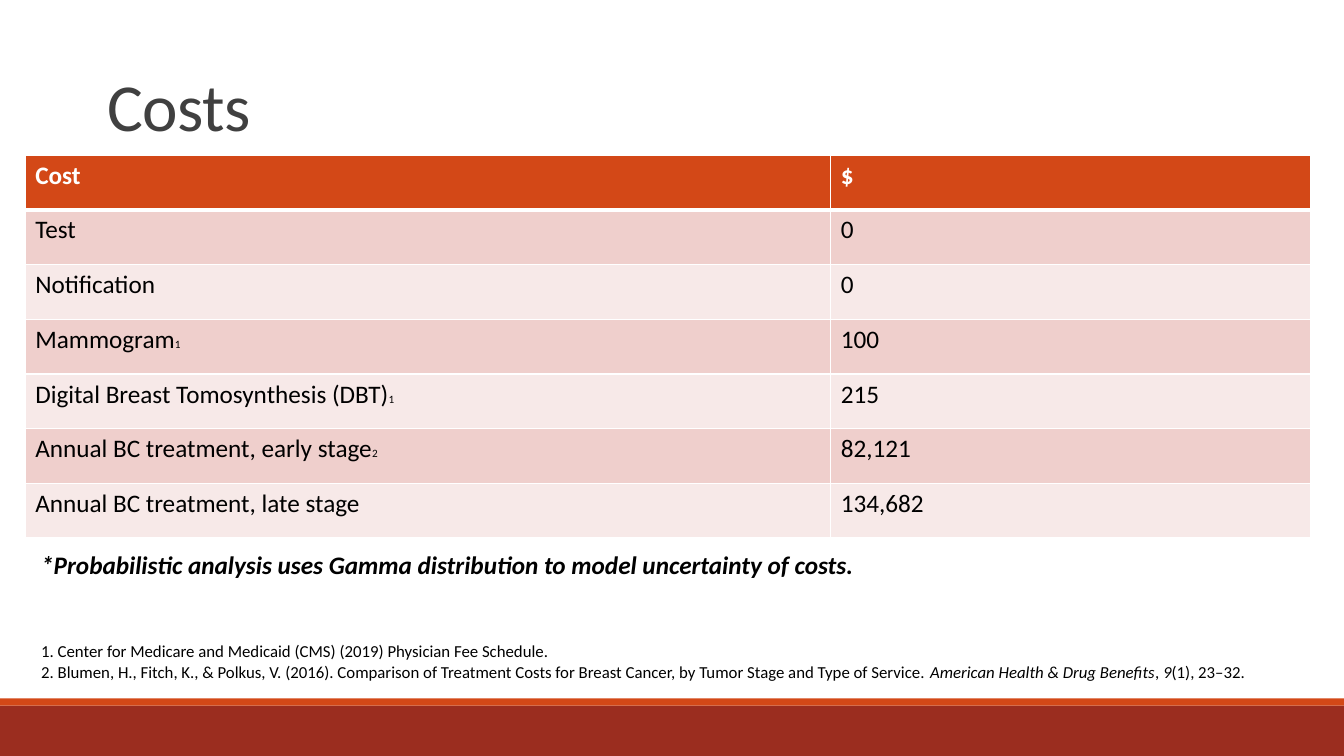
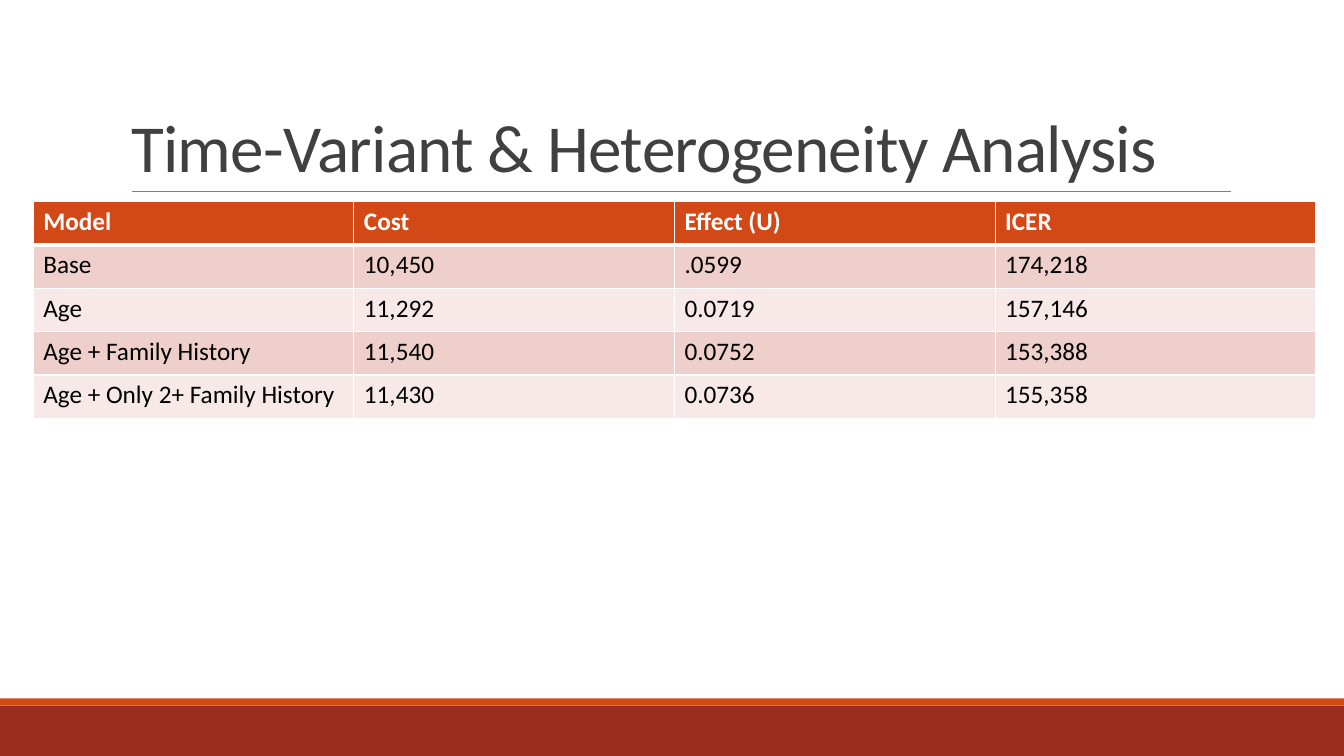
from dataclasses import dataclass, field
from typing import Any

from lxml.etree import SubElement
from pptx import Presentation
from pptx.dml.color import RGBColor
from pptx.enum.shapes import MSO_CONNECTOR as Connector, MSO_SHAPE as Preset
from pptx.enum.text import MSO_ANCHOR as Anchor, MSO_AUTO_SIZE as AutoSize, PP_ALIGN as Align
from pptx.oxml.ns import qn
from pptx.util import Inches, Pt

WHITE = RGBColor(0xFF, 0xFF, 0xFF)
BLACK = RGBColor(0x00, 0x00, 0x00)
BRICK = RGBColor(0x9B, 0x2D, 0x1F)
ORANGE = RGBColor(0xD3, 0x48, 0x17)
GRAY = RGBColor(0x80, 0x80, 0x80)
CHARCOAL = RGBColor(0x40, 0x40, 0x40)
ROSE = RGBColor(0xEF, 0xCF, 0xCC)
BLUSH = RGBColor(0xF7, 0xE9, 0xE8)

SLIDE_WIDTH = 13.33
SLIDE_HEIGHT = 7.5
RULE_LEFT, RULE_RIGHT, RULE_TOP = 1.31, 12.21, 1.9

BODY = {"name": "Calibri", "size": Pt(18), "bold": False, "italic": False}
HEADER = BODY | {"bold": True}
MARK = BODY | {"size": Pt(8)}
CALLOUT = BODY | {"bold": True, "italic": True}
REFERENCE = BODY | {"size": Pt(12)}
JOURNAL = REFERENCE | {"italic": True}
TITLE = BODY | {"size": Pt(48)}


@dataclass(frozen=True)
class Box:
    left: float
    top: float
    width: float
    height: float

    def lengths(self) -> tuple:
        return tuple(Inches(side) for side in (self.left, self.top, self.width, self.height))


@dataclass(frozen=True)
class Band:
    box: Box
    color: RGBColor


@dataclass(frozen=True)
class Span:
    text: str
    style: dict[str, Any] = field(default_factory=lambda: BODY)


@dataclass(frozen=True)
class Grid:
    box: Box
    columns: list[float]
    rows: list[list[str]]
    marks: dict[int, str] = field(default_factory=dict)


BANDS = [
    Band(Box(0, 7, SLIDE_WIDTH, 0.5), BRICK),
    Band(Box(0, 6.93, SLIDE_WIDTH, 0.07), ORANGE),
]

COSTS = Grid(
    Box(0.25, 1.54, 12.75, 3.8),
    [7.99, 4.76],
    [
        ["Cost", "$"],
        ["Test", "0"],
        ["Notification", "0"],
        ["Mammogram", "100"],
        ["Digital Breast Tomosynthesis (DBT)", "215"],
        ["Annual BC treatment, early stage", "82,121"],
        ["Annual BC treatment, late stage", "134,682"],
    ],
    {3: "1", 4: "1", 5: "2"},
)

MODELS = Grid(
    Box(0.33, 2, 12.72, 2.15),
    [3.18] * 4,
    [
        ["Model", "Cost", "Effect (U)", "ICER"],
        ["Base", "10,450", ".0599", "174,218"],
        ["Age", "11,292", "0.0719", "157,146"],
        ["Age + Family History", "11,540", "0.0752", "153,388"],
        ["Age + Only 2+ Family History", "11,430", "0.0736", "155,358"],
    ],
)

COST_NOTES = [
    [Span("*Probabilistic analysis uses Gamma distribution to model uncertainty of costs.", CALLOUT)],
    [Span("1. Center for Medicare and Medicaid (CMS) (2019) Physician Fee Schedule.", REFERENCE)],
    [
        Span(
            "2. Blumen, H., Fitch, K., & Polkus, V. (2016). Comparison of Treatment Costs for "
            "Breast Cancer, by Tumor Stage and Type of Service. ",
            REFERENCE,
        ),
        Span("American Health & Drug Benefits", JOURNAL),
        Span(", ", REFERENCE),
        Span("9", JOURNAL),
        Span("(1), 23–32.", REFERENCE),
    ],
]


def write_spans(paragraph, spans: list[Span], color: RGBColor) -> None:
    for span in spans:
        run = paragraph.add_run()
        run.text = span.text
        for attribute, value in span.style.items():
            setattr(run.font, attribute, value)
        run.font.color.rgb = color


def add_bands(slide) -> None:
    for band in BANDS:
        stripe = slide.shapes.add_shape(Preset.RECTANGLE, *band.box.lengths())
        stripe.shadow.inherit = False
        stripe.fill.solid()
        stripe.fill.fore_color.rgb = band.color
        stripe.line.fill.background()


def add_title_rule(slide) -> None:
    rule = slide.shapes.add_connector(
        Connector.STRAIGHT,
        Inches(RULE_LEFT), Inches(RULE_TOP), Inches(RULE_RIGHT), Inches(RULE_TOP),
    )
    rule.line.color.rgb = GRAY
    rule.line.width = Pt(0.5)
    SubElement(rule._element.spPr, qn("a:effectLst"))


def set_title(slide, text: str, box: Box) -> None:
    title = slide.shapes.title
    title.left, title.top, title.width, title.height = box.lengths()
    frame = title.text_frame
    frame_format = {"auto_size": AutoSize.NONE, "word_wrap": True, "vertical_anchor": Anchor.BOTTOM}
    for attribute, value in frame_format.items():
        setattr(frame, attribute, value)
    heading = frame.paragraphs[0]
    heading.alignment = Align.LEFT
    heading.line_spacing = 0.85
    write_spans(heading, [Span(text, TITLE)], CHARCOAL)
    heading.runs[0].font._element.set("spc", "-50")


def add_slide(deck, title: str, title_box: Box):
    slide = deck.slides.add_slide(deck.slide_layouts[5])
    add_bands(slide)
    set_title(slide, title, title_box)
    return slide


def set_borders(cell, top: float, bottom: float) -> None:
    properties = cell._tc.get_or_add_tcPr()
    for edge, points in {"lnL": 1, "lnR": 1, "lnT": top, "lnB": bottom}.items():
        border = SubElement(properties, qn(f"a:{edge}"), w=str(Pt(points)))
        paint = SubElement(border, qn("a:solidFill"))
        SubElement(paint, qn("a:srgbClr"), val=str(WHITE))


def add_grid(slide, grid: Grid) -> None:
    table = slide.shapes.add_table(len(grid.rows), len(grid.columns), *grid.box.lengths()).table
    for column, width in zip(table.columns, grid.columns):
        column.width = Inches(width)
    for row, entries in enumerate(grid.rows):
        is_header = row == 0
        fill = ORANGE if is_header else (BLUSH, ROSE)[row % 2]
        for column, entry in enumerate(entries):
            cell = table.cell(row, column)
            set_borders(cell, top=3 if row == 1 else 1, bottom=3 if is_header else 1)
            cell.fill.solid()
            cell.fill.fore_color.rgb = fill
            spans = [Span(entry, HEADER if is_header else BODY)]
            if column == 0 and row in grid.marks:
                spans.append(Span(grid.marks[row], MARK))
            write_spans(cell.text_frame.paragraphs[0], spans, WHITE if is_header else BLACK)


def add_notes_below(slide, box: Box, notes: list[list[Span]], gap: float) -> None:
    frame = slide.shapes.add_textbox(*box.lengths()).text_frame
    frame.word_wrap = True
    for index, spans in enumerate(notes):
        paragraph = frame.add_paragraph() if index else frame.paragraphs[0]
        if index == 1:
            paragraph.space_before = Pt(gap)
        write_spans(paragraph, spans, BLACK)


def main() -> None:
    deck = Presentation()
    deck.slide_width = Inches(SLIDE_WIDTH)
    deck.slide_height = Inches(SLIDE_HEIGHT)

    costs = add_slide(deck, "Costs", Box(0.97, 0.63, 11, 0.86))
    add_grid(costs, COSTS)
    add_notes_below(costs, Box(0.31, 5.4, 12.62, 1.41), COST_NOTES, gap=44)

    analysis = add_slide(deck, "Time-Variant & Heterogeneity Analysis", Box(1.2, 0.31, 11, 1.59))
    add_title_rule(analysis)
    add_grid(analysis, MODELS)

    deck.save("out.pptx")


if __name__ == "__main__":
    main()
